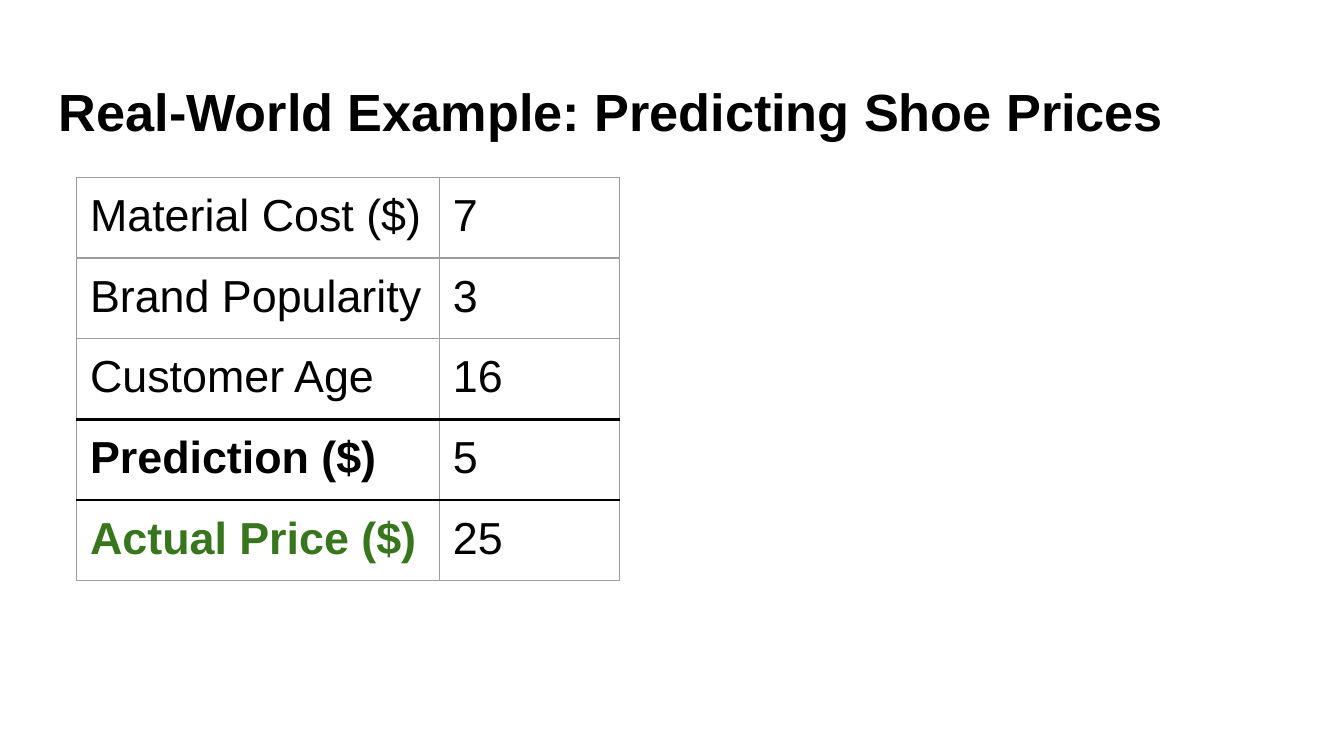
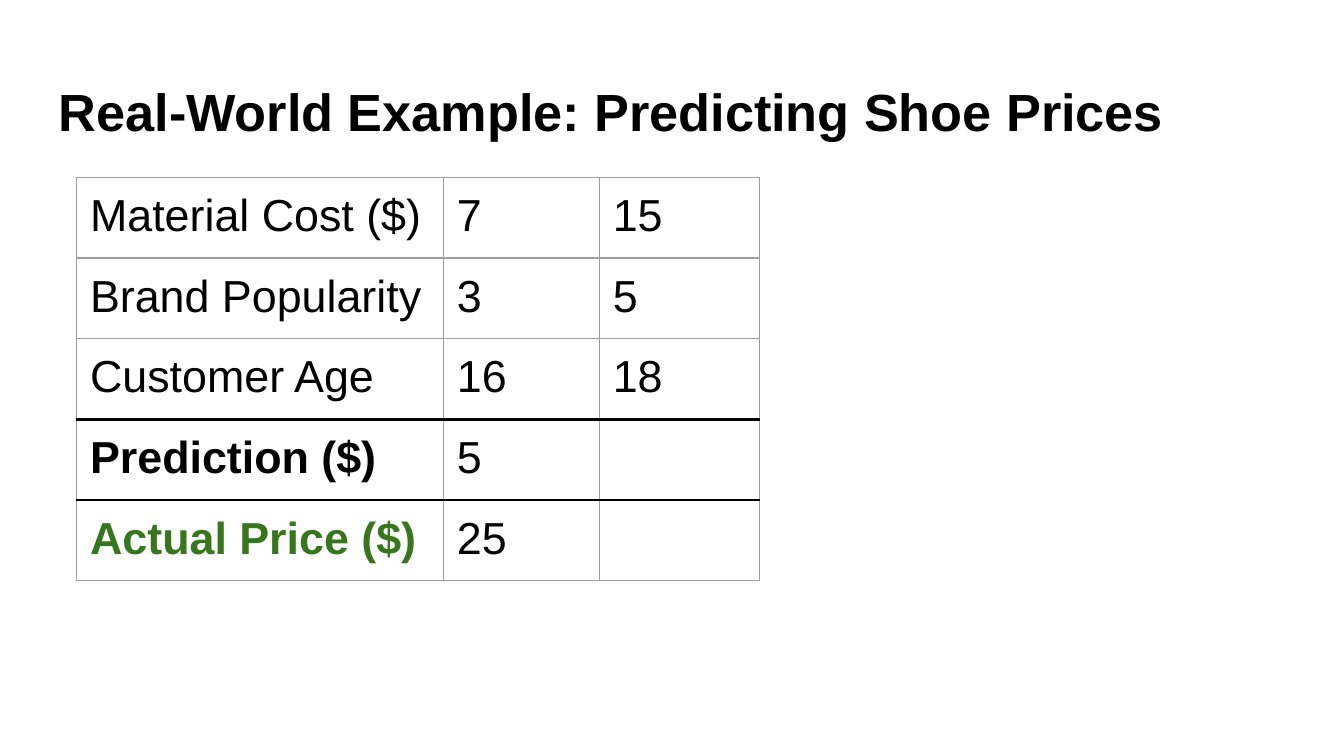
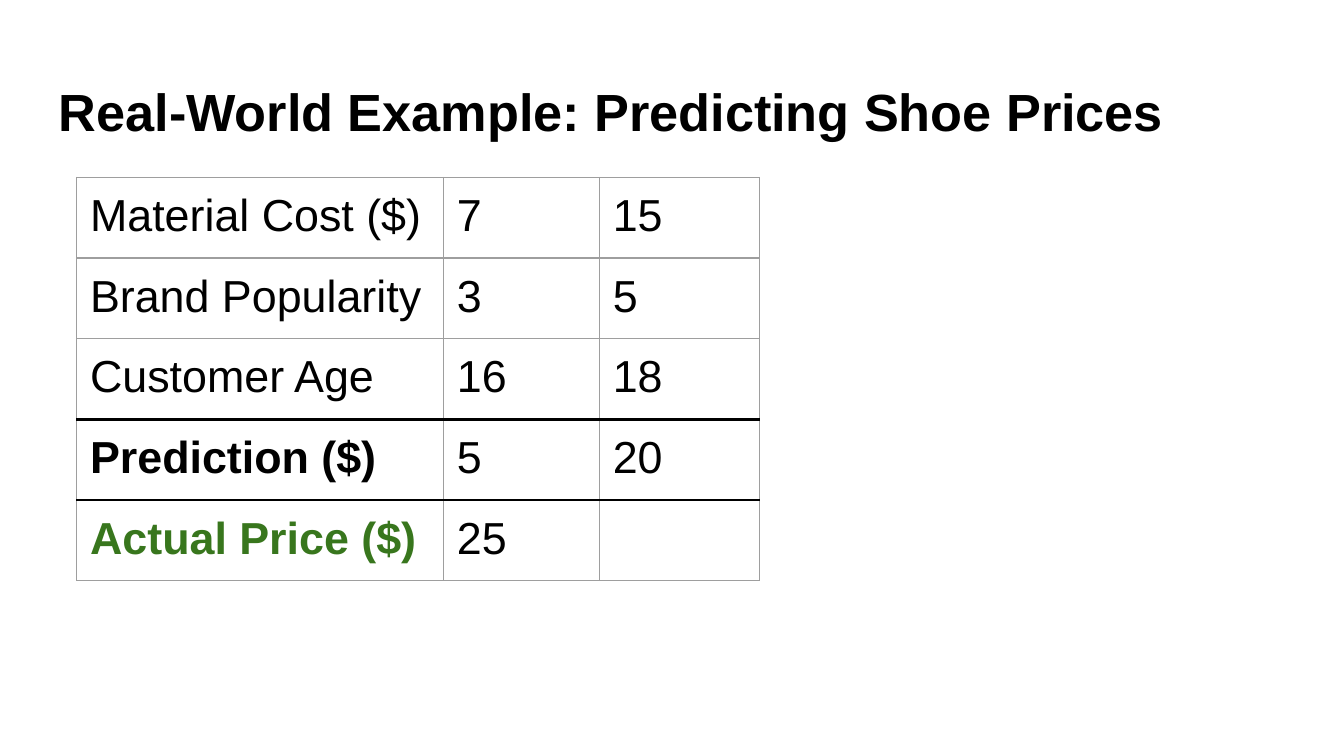
from lxml.etree import SubElement as Sub
from pptx import Presentation
from pptx.dml.color import RGBColor as Rgb
from pptx.enum.text import MSO_ANCHOR as Anchor
from pptx.oxml.ns import qn
from pptx.util import Inches, Pt

HUES = {"ink": "000000", "rule": "9E9E9E", "actual": "38761D"}
FONT = "Arial"
PAD = Inches(0.1)
TITLE = "Real-World Example: Predicting Shoe Prices"
LABELS = ["Material Cost ($)", "Brand Popularity", "Customer Age",
          "Prediction ($)", "Actual Price ($)"]
GUESS, ACTUAL = 3, 4  # table rows, each with a heavy line above

FIRST = ["7", "3", "16", "5", "25"]
NARROW = {"widths": [2.7, 1.34], "rows": [0.42] * 5}
WIDE = {"widths": [2.73, 1.16, 1.19], "rows": [0.42, 0.42, 0.6, 0.6, 0.42]}
SLIDES = [
    (NARROW, [FIRST]),
    (WIDE, [FIRST, ["15", "5", "18", "", ""]]),
    (WIDE, [FIRST, ["15", "5", "18", "20", ""]]),
]


def style(para, size, bold=False, hue="ink"):
    font = para.font
    font.name, font.size, font.bold = FONT, Pt(size), bold
    font.color.rgb = Rgb.from_string(HUES[hue])


def pad(part):
    part.margin_left = part.margin_right = PAD
    part.margin_top = part.margin_bottom = PAD


def add_title(slide, left, top, width, height):
    box = slide.shapes.add_textbox(
        Inches(left), Inches(top), Inches(width), Inches(height))
    frame = box.text_frame
    frame.word_wrap = True
    frame.vertical_anchor = Anchor.TOP
    pad(frame)
    frame.text = TITLE
    style(frame.paragraphs[0], 28, bold=True)


def add_edges(cell, row):
    """Draw the four cell borders, heavy above the last two rows."""
    heavy = {"T": row in (GUESS, ACTUAL), "B": row + 1 in (GUESS, ACTUAL)}
    props = cell._tc.get_or_add_tcPr()
    for side in "LRTB":
        hue, weight = ("ink", 1.5) if heavy.get(side) else ("rule", 0.75)
        line = Sub(props, qn(f"a:ln{side}"), w=str(Pt(weight)))
        fill = Sub(line, qn("a:solidFill"))
        Sub(fill, qn("a:srgbClr"), val=HUES[hue])


def fill_cell(cell, text, row, label):
    add_edges(cell, row)
    cell.fill.background()
    pad(cell)
    cell.text = text
    hue = "actual" if label and row == ACTUAL else "ink"
    style(cell.text_frame.paragraphs[0], 24, label and row >= GUESS, hue)


def add_prices(slide, left, top, side, sizes, samples):
    columns = [LABELS, *samples]
    widths, rows = sizes["widths"], sizes["rows"]
    frame = slide.shapes.add_table(
        len(rows), len(widths), Inches(left), Inches(top),
        Inches(side), Inches(side))
    table = frame.table
    table.first_row = table.horz_banding = False
    for row, height in enumerate(rows):
        table.rows[row].height = Inches(height)
    for col, width in enumerate(widths):
        table.columns[col].width = Inches(width)
        for row, text in enumerate(columns[col]):
            fill_cell(table.cell(row, col), text, row, label=col == 0)
    frame.width = frame.height = Inches(side)


def main():
    deck = Presentation()
    deck.slide_width = Inches(10)
    deck.slide_height = deck.slide_width * 9 // 16
    for sizes, samples in SLIDES:
        slide = deck.slides.add_slide(deck.slide_layouts[6])
        add_title(slide, 0.34, 0.49, 9.32, 0.63)
        add_prices(slide, 0.57, 1.32, 3.28, sizes, samples)
    deck.save("out.pptx")


if __name__ == "__main__":
    main()
